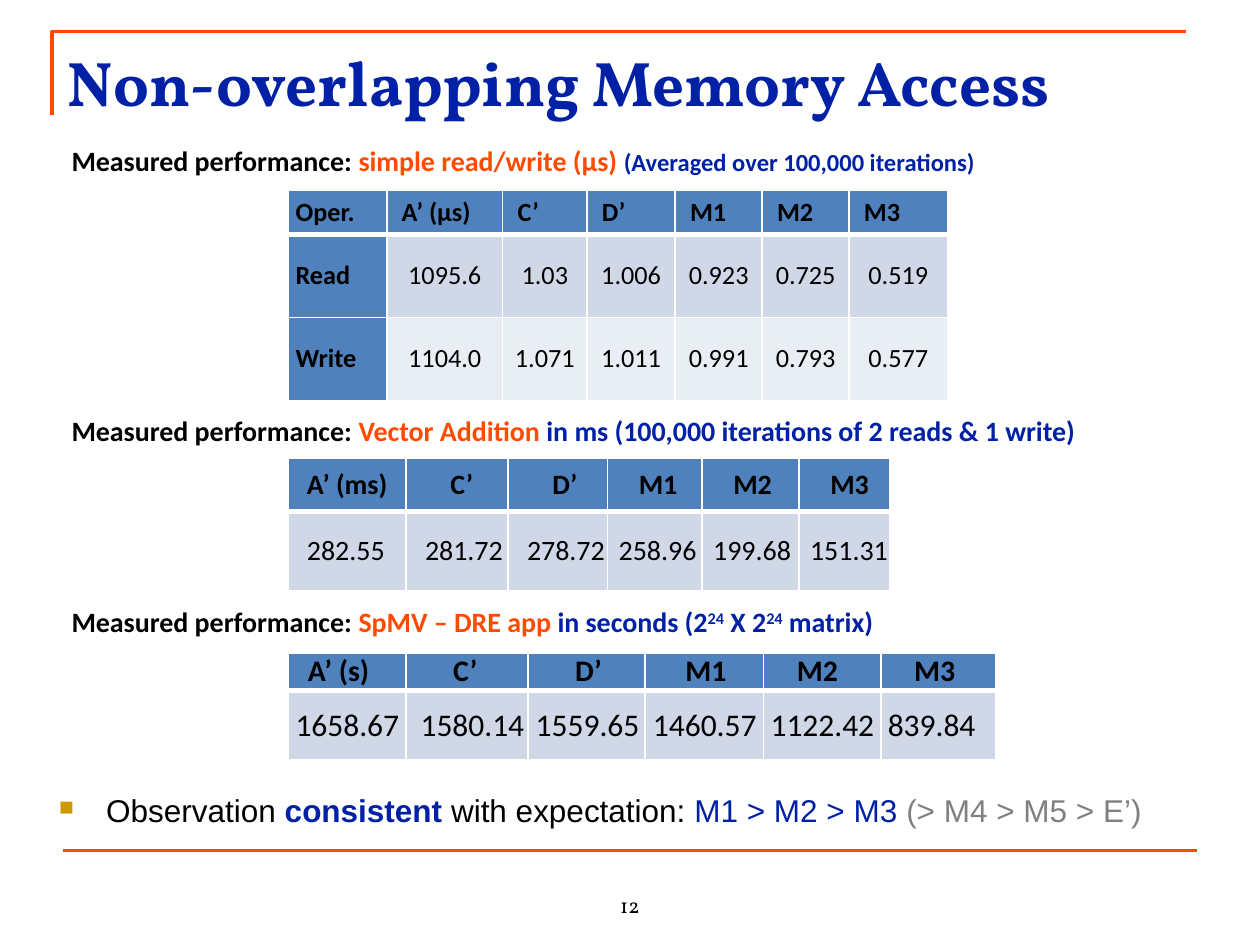
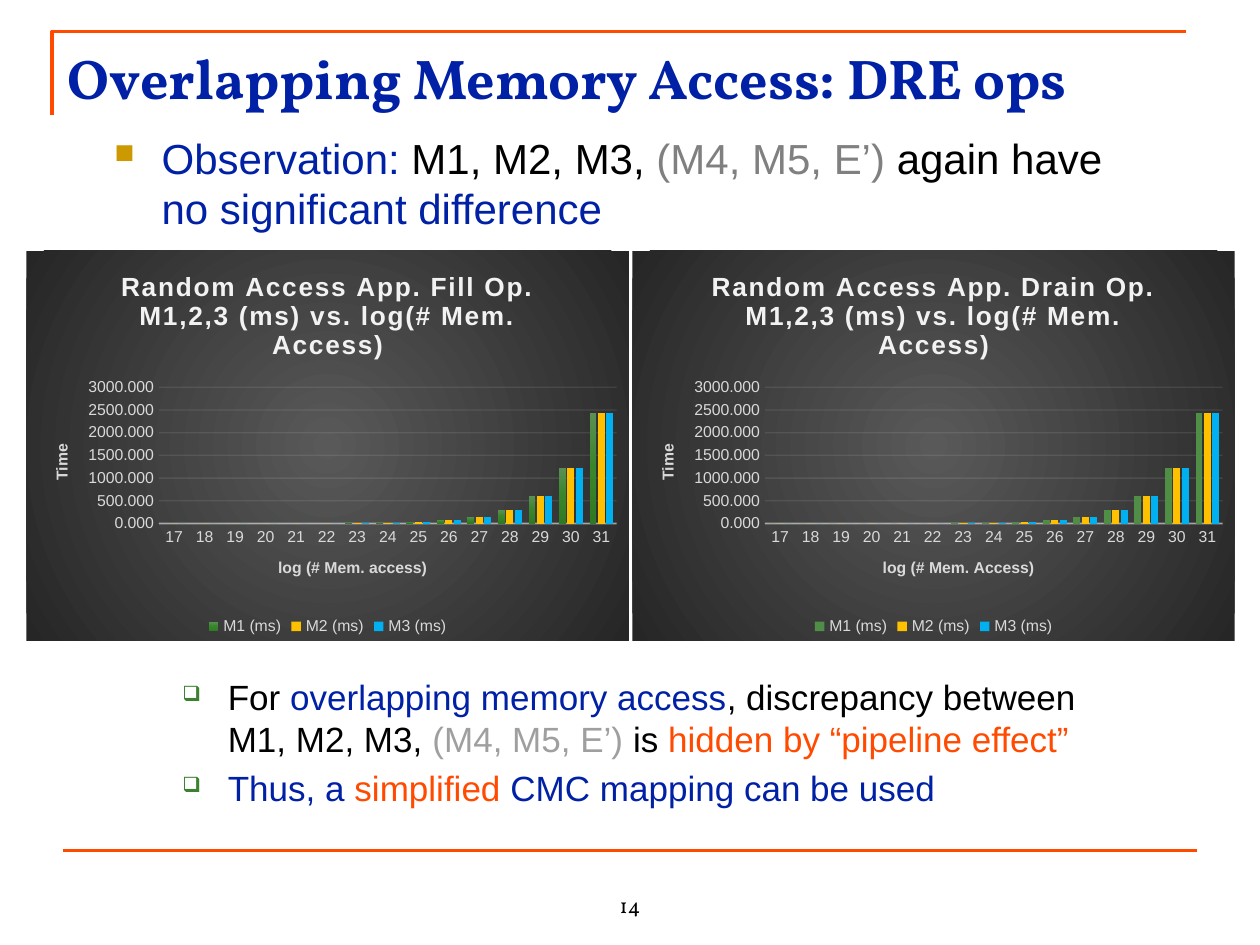
from lxml import etree
from pptx import Presentation
from pptx.chart.data import CategoryChartData
from pptx.dml.color import RGBColor
from pptx.enum.chart import XL_CHART_TYPE, XL_LEGEND_POSITION, XL_TICK_MARK
from pptx.enum.shapes import MSO_CONNECTOR
from pptx.enum.text import MSO_ANCHOR, PP_ALIGN
from pptx.oxml import parse_xml
from pptx.oxml.ns import nsdecls, qn
from pptx.util import Pt

COLUMNS = XL_CHART_TYPE.COLUMN_CLUSTERED
LEGEND_BOTTOM = XL_LEGEND_POSITION.BOTTOM
NO_TICK = XL_TICK_MARK.NONE
STRAIGHT = MSO_CONNECTOR.STRAIGHT
TOP, MIDDLE, BOTTOM = MSO_ANCHOR.TOP, MSO_ANCHOR.MIDDLE, MSO_ANCHOR.BOTTOM
LEFT, CENTER = PP_ALIGN.LEFT, PP_ALIGN.CENTER

COLORS = {
    "black": "000000", "white": "FFFFFF", "blue": "0021A5", "orange": "FF4A00",
    "grey": "808080", "pale_grey": "9F9F9F", "gold": "CC9900", "green": "3B812F",
    "header": "4F81BD", "band_dark": "D0D8E8", "band_light": "E9EDF4",
    "chart_title": "F2F2F2", "chart_text": "D9D9D9",
    "chart_center": "595959", "chart_edge": "262626",
    "m1": "508D47", "m1_top": "5B9055", "m1_mid": "38852B", "m1_base": "2F7A22",
    "m2": "FFC000", "m3": "00B0F0",
}
HEADING, BODY, DATA = "Vollkorn", "Arial", "Calibri"
SQUARE = ("■", "gold", 65, 27, 27)
BOX = ("❑", "green", 60, 52.5, 26)


class Deck:
    def __init__(self):
        self.prs = Presentation()
        self.prs.slide_width, self.prs.slide_height = Pt(720), Pt(540)
        self.slide = None

    def rgb(self, name):
        return RGBColor.from_string(COLORS[name])

    def style(self, font, size=None, color=None, name=None, bold=None, raised=None, spread=None):
        if size:
            font.size = Pt(size)
        if color:
            font.color.rgb = self.rgb(color)
        if name:
            font.name = name
        if bold is not None:
            font.bold = bold
        if raised:
            font._rPr.set("baseline", str(raised * 1000))
        if spread:
            font._rPr.set("spc", str(spread * 100))

    def start(self, title, title_size, number):
        self.slide = self.prs.slides.add_slide(self.prs.slide_layouts[6])
        outline = self.slide.shapes.build_freeform(Pt(30), Pt(66), scale=1.0)
        outline.add_line_segments([(Pt(30), Pt(18)), (Pt(678), Pt(18))], close=False)
        corner = outline.convert_to_shape()
        corner.shadow.inherit = False
        corner.fill.background()
        rule = self.slide.shapes.add_connector(STRAIGHT, Pt(36), Pt(486), Pt(684), Pt(486))
        etree.SubElement(rule._element.spPr, qn("a:effectLst"))
        for stroke in (corner.line, rule.line):
            stroke.color.rgb = self.rgb("orange")
            stroke.width = Pt(2.25)
        self.text((288, 492, 144, 36), [[(number,)]], 12, HEADING, align=CENTER, anchor=BOTTOM)
        self.text((31.7, 21.6, 688, 62.6), [[(title,)]], title_size, HEADING, "blue", bold=True)

    def text(self, box, paragraphs, size, font=BODY, color="black", bold=False,
             bullet=None, before=0, align=LEFT, anchor=TOP):
        frame = self.slide.shapes.add_textbox(*map(Pt, box)).text_frame
        frame.word_wrap = True
        frame.vertical_anchor = anchor
        for index, runs in enumerate(paragraphs):
            paragraph = frame.add_paragraph() if index else frame.paragraphs[0]
            paragraph.alignment = align
            paragraph.space_before = Pt(before)
            self.style(paragraph.font, size, color, font, bold)
            if bullet:
                self.bullet(paragraph, *bullet)
            for words, *look in runs:
                if words == "\n":
                    paragraph.add_line_break()
                    continue
                run = paragraph.add_run()
                run.text = words
                if look:
                    self.style(run.font, **look[0])

    def bullet(self, paragraph, char, color, percent, margin, hang):
        props = paragraph._p.get_or_add_pPr()
        props.set("marL", str(Pt(margin)))
        props.set("indent", str(-Pt(hang)))
        marks = parse_xml(
            f'<a:pPr {nsdecls("a")}><a:buClr><a:srgbClr val="{COLORS[color]}"/></a:buClr>'
            f'<a:buSzPct val="{percent * 1000}"/><a:buChar char="{char}"/></a:pPr>')
        default_font = props.find(qn("a:defRPr"))
        for mark in list(marks):
            default_font.addprevious(mark)

    def table(self, left, top, widths, heights, rows, sizes, indents, centered=False, row_heads=False):
        frame = self.slide.shapes.add_table(
            len(rows), len(widths), Pt(left), Pt(top), Pt(sum(widths)), Pt(sum(heights)))
        grid = frame.table
        grid.first_row = grid.horz_banding = False
        for column, width in zip(grid.columns, widths):
            column.width = Pt(width)
        for r, values in enumerate(rows):
            grid.rows[r].height = Pt(heights[r])
            for c, value in enumerate(values):
                head = r == 0 or (row_heads and c == 0)
                middle = centered and not head
                cell = grid.cell(r, c)
                cell.margin_top = cell.margin_bottom = cell.margin_right = 0
                cell.margin_left = 0 if middle else Pt(indents[min(r, 1)][c])
                cell.vertical_anchor = MIDDLE
                cell.text = value
                paragraph = cell.text_frame.paragraphs[0]
                paragraph.alignment = CENTER if middle else LEFT
                paragraph.space_after = Pt(4)
                self.style(paragraph.font, sizes[min(r, 1)], "black", DATA, head)
                self.borders(cell, r)
                cell.fill.solid()
                band = "band_dark" if r % 2 else "band_light"
                cell.fill.fore_color.rgb = self.rgb("header" if head else band)

    def borders(self, cell, row):
        widths = {"lnL": 1, "lnR": 1, "lnT": 3 if row == 1 else 1, "lnB": 1 if row else 3}
        for side, width in widths.items():
            cell._tc.get_or_add_tcPr().append(parse_xml(
                f'<a:{side} {nsdecls("a")} w="{Pt(width)}"><a:solidFill>'
                f'<a:srgbClr val="{COLORS["white"]}"/></a:solidFill></a:{side}>'))

    def gradient(self, stops, direction):
        marks = "".join(f'<a:gs pos="{at * 1000}"><a:srgbClr val="{COLORS[name]}"/></a:gs>'
                        for at, name in stops)
        return parse_xml(f'<a:gradFill {nsdecls("a")} rotWithShape="1">'
                         f'<a:gsLst>{marks}</a:gsLst>{direction}</a:gradFill>')

    def faint_line(self, line, width, opacity):
        line.color.rgb = self.rgb("chart_title")
        line.width = Pt(width)
        shade = line._ln.find(".//" + qn("a:srgbClr"))
        etree.SubElement(shade, qn("a:alpha"), val=str(opacity * 1000))

    def chart_label(self, owner, words, size, color, spread=None):
        owner.text_frame.text = words
        self.style(owner.text_frame.paragraphs[0].font, size, color, BODY, True, spread=spread)

    def chart(self, box, title, category_title, categories, series, shaded=False):
        data = CategoryChartData(number_format="0.000")
        data.categories = categories
        for name, color, values in series:
            data.add_series(name, values)
        chart = self.slide.shapes.add_chart(COLUMNS, *map(Pt, box), data).chart
        self.style(chart.font, 10, "black", BODY)
        chart.has_title = True
        self.chart_label(chart.chart_title, title, 15, "chart_title", 1)
        chart.chart_title.include_in_layout = False
        chart.has_legend = True
        chart.legend.position = LEGEND_BOTTOM
        chart.legend.include_in_layout = False
        self.style(chart.legend.font, 9, "chart_text", BODY)
        times, accesses = chart.value_axis, chart.category_axis
        for axis, words in ((accesses, category_title), (times, "Time")):
            axis.major_tick_mark = axis.minor_tick_mark = NO_TICK
            self.style(axis.tick_labels.font, 9, "chart_text", BODY)
            axis.has_title = True
            self.chart_label(axis.axis_title, words, 9, "chart_text")
        self.faint_line(accesses.format.line, 1, 54)
        times.format.line.fill.background()
        times.minimum_scale, times.maximum_scale, times.major_unit = 0, 3000, 500
        times.tick_labels.number_format = "0.000"
        times.tick_labels.number_format_is_linked = False
        self.faint_line(times.major_gridlines.format.line, 0.75, 10)
        plot = chart.plots[0]
        plot.gap_width, plot.overlap, plot.vary_by_categories = 100, -24, False
        for bars, (name, color, values) in zip(plot.series, series):
            bars.format.fill.solid()
            bars.format.fill.fore_color.rgb = self.rgb(color)
        if shaded:
            solid = plot.series[0]._element.spPr.find(qn("a:solidFill"))
            stops = [(0, "m1_top"), (50, "m1_mid"), (100, "m1_base")]
            solid.getparent().replace(
                solid, self.gradient(stops, '<a:lin ang="5400000" scaled="0"/>'))
        self.backdrop(chart)

    def backdrop(self, chart):
        body = chart._chartSpace.find(qn("c:chart"))
        area = parse_xml(f'<c:spPr {nsdecls("c", "a")}><a:ln><a:noFill/></a:ln></c:spPr>')
        center = '<a:path path="circle"><a:fillToRect l="50000" t="50000" r="50000" b="50000"/></a:path>'
        area.insert(0, self.gradient([(0, "chart_center"), (100, "chart_edge")], center))
        body.addnext(area)
        plot_area = body.find(qn("c:plotArea"))
        for layout in plot_area.findall(qn("c:layout")):
            plot_area.remove(layout)
        places = "".join(f'<c:{key} val="{value}"/>' for key, value in (
            ("layoutTarget", "inner"), ("xMode", "edge"), ("yMode", "edge"),
            ("x", 0.22), ("y", 0.35), ("w", 0.76), ("h", 0.35)))
        plot_area.insert(0, parse_xml(
            f'<c:layout {nsdecls("c")}><c:manualLayout>{places}</c:manualLayout></c:layout>'))
        plot_area.append(parse_xml(f'<c:spPr {nsdecls("c", "a")}><a:noFill/></c:spPr>'))


BLUE, ORANGE, GREY = {"color": "blue"}, {"color": "orange"}, {"color": "grey"}
POWER = {"color": "blue", "raised": 30}
MODELS = ["C’", "D’", "M1", "M2", "M3"]

deck = Deck()
deck.start("Non-overlapping Memory Access", 36, "12")
deck.text((26.6, 448.6, 693, 48), [[
    ("Observation ",), ("consistent", {"color": "blue", "bold": True}),
    (" with expectation: ",), ("M1 > M2 > M3 ", BLUE), ("(> M4 > M5 > E’)", GREY),
]], 18, bullet=SQUARE, before=3.6)

captions = [
    (78.5, [("simple read/write (µs) ", ORANGE),
            ("(Averaged over 100,000 iterations)", {"color": "blue", "size": 14})]),
    (232.6, [("Vector Addition ", ORANGE),
             ("in ms (100,000 iterations of 2 reads & 1 write)", BLUE)]),
    (342, [("SpMV – DRE app ", ORANGE), ("in seconds (2", BLUE), ("24", POWER),
           (" X 2", BLUE), ("24", POWER), (" matrix)", BLUE)]),
]
for top, measure in captions:
    deck.text((33.8, top, 616, 26), [[("Measured performance: ",)] + measure],
              16, DATA, bold=True, before=6)

TABLE_LEFT = 164.9
deck.table(
    TABLE_LEFT, 108.7, [56.2, 66.2, 48.2, 50.4, 49.7, 49.7, 56.2], [25.2, 47.5, 47.5],
    [["Oper.", "A’ (µs)"] + MODELS,
     ["Read", "1095.6", "1.03", "1.006", "0.923", "0.725", "0.519"],
     ["Write", "1104.0", "1.071", "1.011", "0.991", "0.793", "0.577"]],
    (15, 15), ([4] + [8.5] * 6, [4] * 7), centered=True, row_heads=True)
deck.table(
    TABLE_LEFT, 262.1, [67, 58.3, 56.9, 54, 55.4, 51.8], [30.2, 45.4],
    [["A’ (ms)"] + MODELS, ["282.55", "281.72", "278.72", "258.96", "199.68", "151.31"]],
    (16, 16), ([10.5, 25.5, 25.5, 18, 18, 18], [10.5, 11, 11, 6.5, 6.5, 6.5]))
deck.table(
    TABLE_LEFT, 373, [67, 69.8, 67, 67.7, 67, 65.5], [21.6, 39.6],
    [["A’ (s)"] + MODELS, ["1658.67", "1580.14", "1559.65", "1460.57", "1122.42", "839.84"]],
    (17, 18), ([11, 27, 27, 23, 19, 19], [4, 8.5, 4.5, 4.5, 4, 4]))

deck.start("Overlapping Memory Access: DRE ops", 32, "14")
deck.text((58.3, 72, 628.6, 64.8), [[
    ("Observation: ", BLUE), ("M1, M2, M3, ",), ("(M4, M5, E’)", GREY), (" again have",),
    ("\n",), ("no significant difference", BLUE),
]], 24, bullet=SQUARE, before=4.8)

accesses = [str(power) for power in range(17, 32)]
fill_times = [0] * 6 + [10, 20, 40, 80, 150, 300, 610, 1220]
timings = [("M1 (ms)", "m1", fill_times + [2440]), ("M2 (ms)", "m2", fill_times + [2440]),
           ("M3 (ms)", "m3", fill_times + [2430])]
for left, operation, label, shaded in ((15.1, "Fill", "access", True), (361.4, "Drain", "Access", False)):
    deck.chart((left, 143.3, 344.2, 222.8),
               f"Random Access App. {operation} Op. M1,2,3 (ms) vs. log(# Mem. Access)",
               f"log (# Mem. {label})", accesses, timings, shaded)

deck.text((70.6, 382.3, 584, 81.4), [
    [("For ",), ("overlapping memory access", BLUE), (", discrepancy between M1, M2, M3, ",),
     ("(M4, M5, E’) ", {"color": "pale_grey"}), ("is ",), ("hidden by “pipeline effect”", ORANGE)],
    [("Thus, a ", BLUE), ("simplified ", ORANGE), ("CMC mapping can be used", BLUE)],
], 20, bullet=BOX, before=4)

deck.prs.save("out.pptx")
